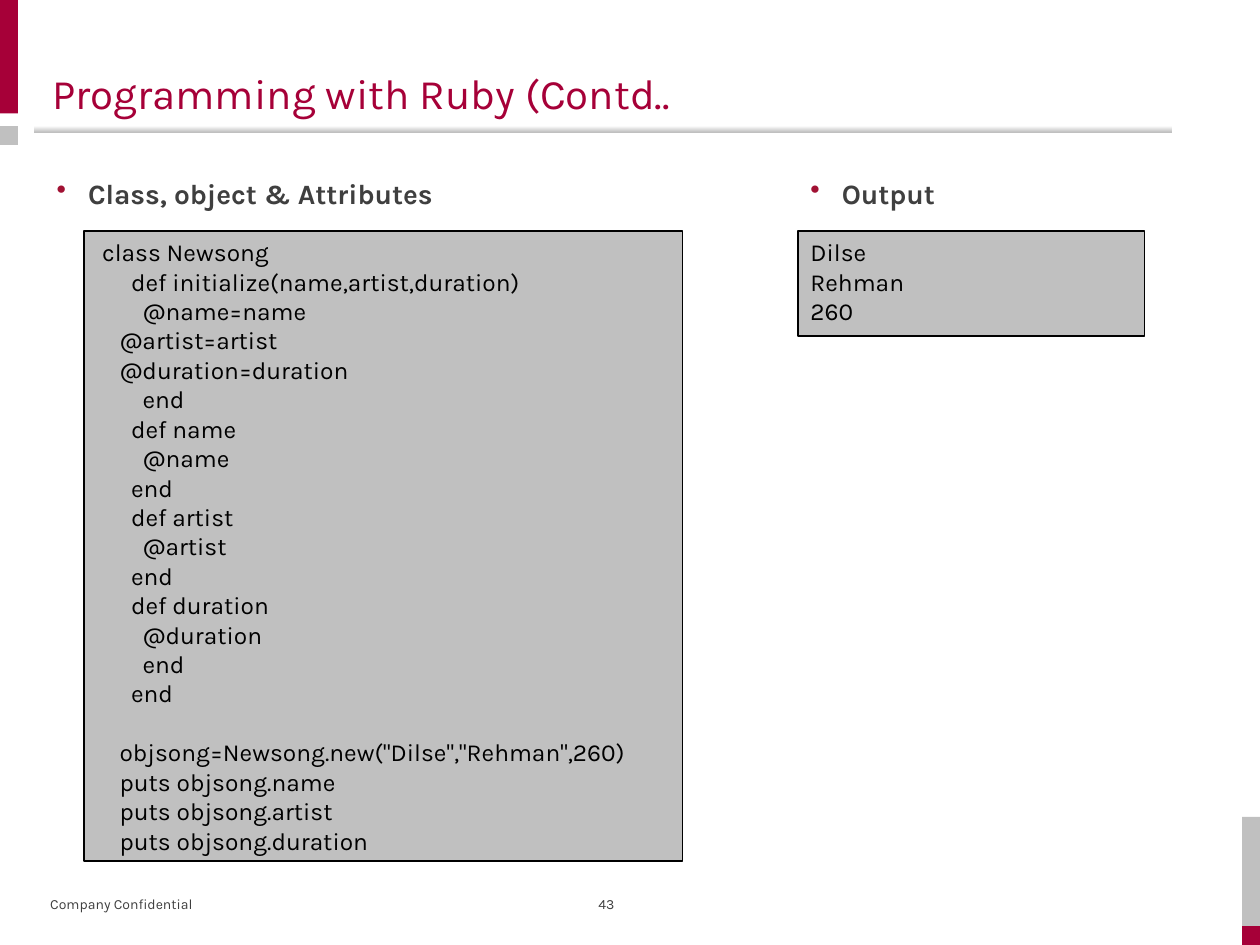
from lxml.etree import SubElement
from pptx import Presentation
from pptx.dml.color import RGBColor
from pptx.enum.shapes import MSO_SHAPE
from pptx.enum.text import MSO_ANCHOR, PP_ALIGN
from pptx.oxml.ns import qn
from pptx.util import Inches, Pt

COLORS = {
    "crimson": "A60038",
    "bullet": "A11133",
    "silver": "C0C0C0",
    "pale": "FEFEFE",
    "gray": "3F3F3F",
    "black": "000000",
}
FONT = "Karla"
COLUMNS, ROWS = 120, 90
CELL = Inches(10) // COLUMNS
INDENT_STEP = Pt(3.3)
CODE_LINE = Pt(16.8)

# Each line: indent in steps, then its words; None leaves a line free.
CODE = [
    (1, "class Newsong"),
    (6, "def initialize(name,artist,duration)"),
    (8, "@name=name"),
    (4, "@artist=artist"),
    (4, "@duration=duration"),
    (8, "end"),
    (6, "def name"),
    (8, "@name"),
    (6, "end"),
    (6, "def artist"),
    (8, "@artist"),
    (6, "end"),
    (6, "def duration"),
    (8, "@duration"),
    (8, "end"),
    (6, "end"),
    None,
    (4, 'objsong=Newsong.new("Dilse","Rehman",260)'),
    (4, "puts objsong.name"),
    (4, "puts objsong.artist"),
    (4, "puts objsong.duration"),
]
OUTPUT = [(0, "Dilse"), (0, "Rehman"), (0, "260")]


def rgb(name):
    return RGBColor.from_string(COLORS[name])


def place(*cells):
    """Turn left, top, width and height in grid cells into lengths."""
    return [round(CELL * count) for count in cells]


def add_run(paragraph, words, size, color, bold=False):
    run = paragraph.add_run()
    run.text = words
    run.font.name = FONT
    run.font.size = Pt(size)
    run.font.bold = bold
    run.font.color.rgb = rgb(color)


def add_band(slide, area, color):
    band = slide.shapes.add_shape(MSO_SHAPE.RECTANGLE, *place(*area))
    band.shadow.inherit = False
    band.fill.solid()
    band.fill.fore_color.rgb = rgb(color)
    band.line.fill.background()
    return band


def add_title_rule(slide, area):
    rule = add_band(slide, area, "silver")
    rule.fill.gradient()
    rule.fill.gradient_angle = 270
    for stop, color in zip(rule.fill.gradient_stops, ("pale", "silver")):
        stop.color.rgb = rgb(color)


def add_label(slide, area, words, size, color, bold=False,
              anchor=MSO_ANCHOR.MIDDLE, align=PP_ALIGN.LEFT):
    frame = slide.shapes.add_textbox(*place(*area)).text_frame
    frame.word_wrap = True
    frame.vertical_anchor = anchor
    paragraph = frame.paragraphs[0]
    paragraph.alignment = align
    add_run(paragraph, words, size, color, bold)
    return paragraph


def add_heading(slide, area, words):
    """Add a bold, bulleted heading with double line spacing."""
    paragraph = add_label(slide, area, words, 16, "gray", bold=True,
                          anchor=MSO_ANCHOR.TOP)
    paragraph.line_spacing = 2.0
    properties = paragraph._p.get_or_add_pPr()
    properties.set("marL", str(Inches(0.25)))
    properties.set("indent", str(-Inches(0.25)))
    bullet_color = SubElement(properties, qn("a:buClr"))
    SubElement(bullet_color, qn("a:srgbClr"), val=COLORS["bullet"])
    SubElement(properties, qn("a:buChar"), char="•")


def add_panel(slide, area, lines):
    """Add an outlined box holding indented lines of code or output."""
    panel = add_band(slide, area, "silver")
    panel.line.color.rgb = rgb("black")
    panel.line.width = Pt(0.75)
    frame = panel.text_frame
    frame.word_wrap = True
    frame.vertical_anchor = MSO_ANCHOR.TOP
    paragraph = frame.paragraphs[0]
    gap_before = False
    for number, line in enumerate(lines):
        if line is None:
            gap_before = True
            continue
        if number:
            paragraph = frame.add_paragraph()
        steps, words = line
        paragraph.alignment = PP_ALIGN.LEFT
        paragraph._p.get_or_add_pPr().set("marL", str(INDENT_STEP * steps))
        if gap_before:
            paragraph.space_before = CODE_LINE
            gap_before = False
        add_run(paragraph, words, 14, "black")


def add_frame(slide):
    """Add the edge bands, the rule below the title and the footer."""
    edge = 1.7
    right = COLUMNS - edge
    add_band(slide, (0, 0, edge, 10.8), "crimson")
    add_band(slide, (0, 12, edge, 1.8), "silver")
    add_title_rule(slide, (3.25, 12, 108.4, 0.6))
    add_band(slide, (right, 77.8, edge, 10.8), "silver")
    add_band(slide, (right, ROWS - 1.8, edge, 1.8), "crimson")
    add_label(slide, (3.6, 84.6, 38, 2.9), "Company Confidential", 8, "gray")
    add_label(slide, (55, 84.5, 5.5, 3.1), "43", 8, "gray",
              align=PP_ALIGN.CENTER)


def main():
    presentation = Presentation()
    presentation.slide_width = CELL * COLUMNS
    presentation.slide_height = CELL * ROWS
    slide = presentation.slides.add_slide(presentation.slide_layouts[6])

    add_frame(slide)
    add_label(slide, (3.8, 5.2, 113.2, 7.2), "Programming with Ruby (Contd..",
              24, "crimson")
    add_heading(slide, (4.2, 13, 68.8, 54), "Class, object & Attributes")
    add_heading(slide, (76, 13, 33, 54), "Output")
    add_panel(slide, (8, 22, 57, 60), CODE)
    add_panel(slide, (76, 22, 33, 10), OUTPUT)

    presentation.save("out.pptx")


if __name__ == "__main__":
    main()
